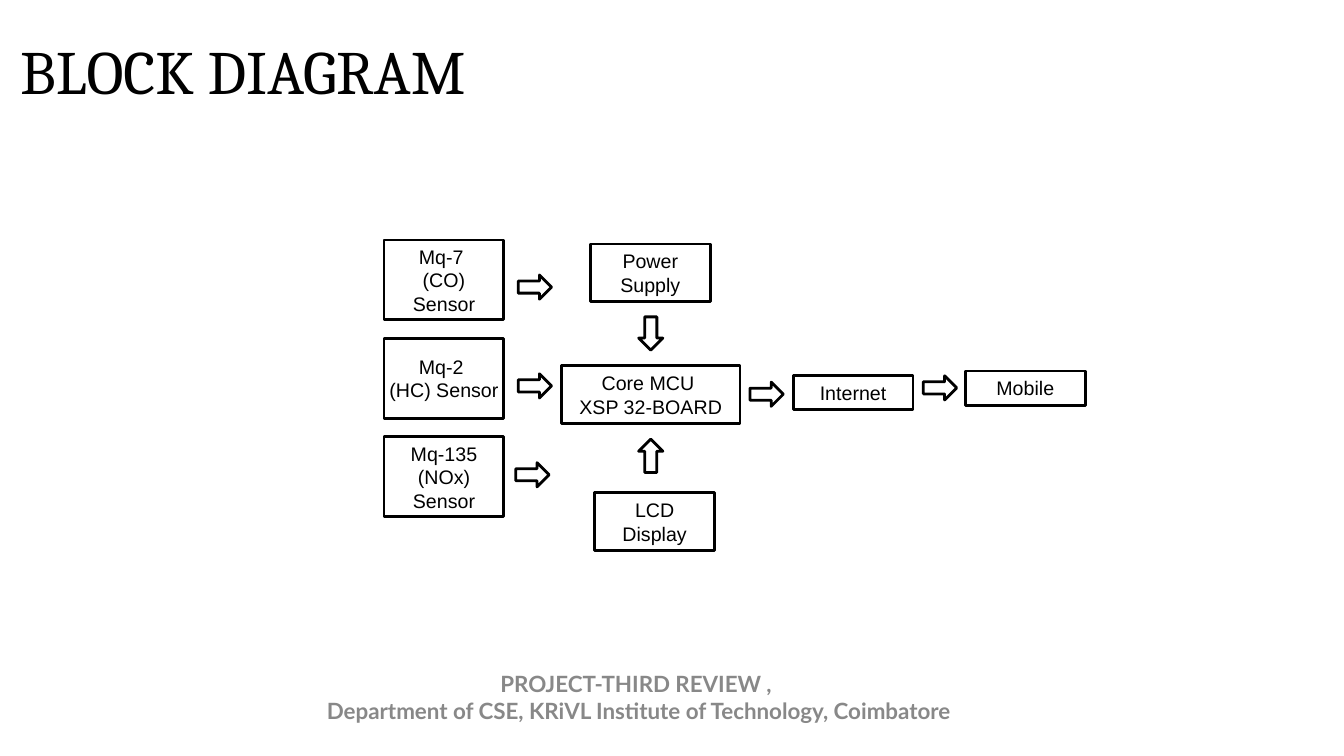
from pptx import Presentation
from pptx.dml.color import RGBColor
from pptx.enum.shapes import MSO_SHAPE
from pptx.enum.text import MSO_ANCHOR, MSO_AUTO_SIZE, PP_ALIGN
from pptx.util import Cm, Pt

COLOURS = {"ink": "000000", "paper": "FFFFFF", "footer": "888888"}
BLOCK_WIDTH = 3.02
SENSOR_LEFT, SENSOR_TOP, SENSOR_PITCH, SENSOR_HEIGHT = 9.68, 6.05, 2.48, 2.01
ARROW_WIDTH, ARROW_HEIGHT = 0.84, 0.61

SENSORS = [
    ["Mq-7 ", "(CO) Sensor"],
    ["Mq-2 ", "(HC) Sensor"],
    ["Mq-135 (NOx) Sensor"],
]
BLOCKS = [
    (14.15, 9.22, 4.5, 1.45, ["Core MCU ", "XSP 32-BOARD"]),
    (14.88, 6.15, BLOCK_WIDTH, 1.45, ["Power Supply"]),
    (14.99, 12.42, BLOCK_WIDTH, 1.45, ["LCD", "Display"]),
    (19.99, 9.47, BLOCK_WIDTH, 0.86, ["Internet"]),
    (24.33, 9.35, BLOCK_WIDTH, 0.86, ["Mobile"]),
]
ARROWS = [
    (13.06, 6.93, 0),
    (13.06, 9.42, 0),
    (13.0, 11.66, 0),
    (18.9, 9.63, 0),
    (23.27, 9.47, 0),
    (15.98, 8.1, 90),
    (15.98, 11.18, 270),
]


class DiagramPage:
    """Draws the elements of a block diagram in one style on one slide."""

    def __init__(self, deck):
        """Add a title-only slide to the deck."""
        self.page = deck.slides.add_slide(deck.slide_layouts[5])

    def colour(self, name):
        """Look up a named colour."""
        return RGBColor.from_string(COLOURS[name])

    def fill_text(self, frame, lines, font, size, colour="ink", bold=False,
                  align=PP_ALIGN.CENTER, spacing=1.0):
        """Fill a text frame with one paragraph per line."""
        frame.margin_left = frame.margin_right = Cm(0.13)
        frame.margin_top = frame.margin_bottom = Cm(0.13)
        for index, line in enumerate(lines):
            para = frame.add_paragraph() if index else frame.paragraphs[0]
            para.alignment = align
            para.line_spacing = spacing
            span = para.add_run()
            span.text = line
            span.font.name = font
            span.font.size = Pt(size)
            span.font.bold = bold
            span.font.color.rgb = self.colour(colour)

    def title(self, text):
        """Place and format the slide title."""
        box = self.page.shapes.title
        box.left, box.top = Cm(0.38), Cm(0.03)
        box.width, box.height = Cm(29.21), Cm(3.68)
        frame = box.text_frame
        frame.vertical_anchor = MSO_ANCHOR.MIDDLE
        frame.auto_size = MSO_AUTO_SIZE.NONE
        self.fill_text(frame, [text], "Cambria", 44, align=PP_ALIGN.LEFT, spacing=0.9)

    def footer(self, lines):
        """Add the centred footer text."""
        box = self.page.shapes.add_textbox(Cm(8.05), Cm(16.76), Cm(16.1), Cm(1.6))
        frame = box.text_frame
        frame.word_wrap = False
        frame.auto_size = MSO_AUTO_SIZE.SHAPE_TO_FIT_TEXT
        self.fill_text(frame, lines, "Lato", 16, "footer", bold=True)

    def outline(self, kind, left, top, width, height):
        """Add a white shape with a black outline."""
        shape = self.page.shapes.add_shape(kind, Cm(left), Cm(top), Cm(width), Cm(height))
        shape.shadow.inherit = False
        shape.fill.solid()
        shape.fill.fore_color.rgb = self.colour("paper")
        shape.line.color.rgb = self.colour("ink")
        shape.line.width = Pt(2)
        return shape

    def block(self, left, top, width, height, lines):
        """Add a labelled rectangle."""
        frame = self.outline(MSO_SHAPE.RECTANGLE, left, top, width, height).text_frame
        frame.word_wrap = True
        frame.auto_size = MSO_AUTO_SIZE.SHAPE_TO_FIT_TEXT
        frame.vertical_anchor = MSO_ANCHOR.MIDDLE
        self.fill_text(frame, lines, "Arial", 14)

    def arrow(self, left, top, rotation):
        """Add a block arrow turned clockwise from pointing right."""
        shape = self.outline(MSO_SHAPE.RIGHT_ARROW, left, top, ARROW_WIDTH, ARROW_HEIGHT)
        shape.rotation = rotation


def main():
    """Build the block diagram slide and save it."""
    deck = Presentation()
    deck.slide_width, deck.slide_height = Cm(33.87), Cm(19.05)
    diagram = DiagramPage(deck)
    diagram.title("BLOCK DIAGRAM")
    diagram.footer([
        "PROJECT-THIRD REVIEW , ",
        "Department of CSE, KRiVL Institute of Technology, Coimbatore ",
    ])
    for row, lines in enumerate(SENSORS):
        top = SENSOR_TOP + row * SENSOR_PITCH
        diagram.block(SENSOR_LEFT, top, BLOCK_WIDTH, SENSOR_HEIGHT, lines)
    for block in BLOCKS:
        diagram.block(*block)
    for arrow in ARROWS:
        diagram.arrow(*arrow)
    deck.save("out.pptx")


if __name__ == "__main__":
    main()
